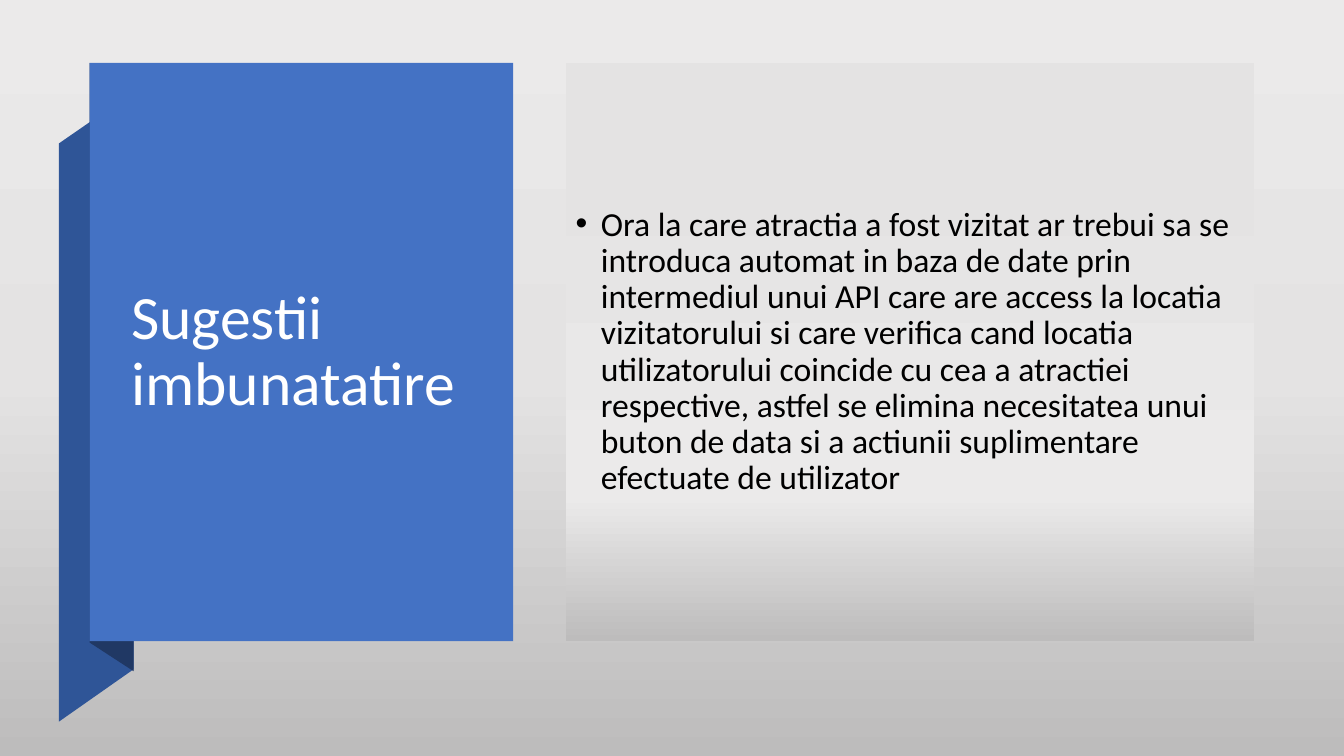
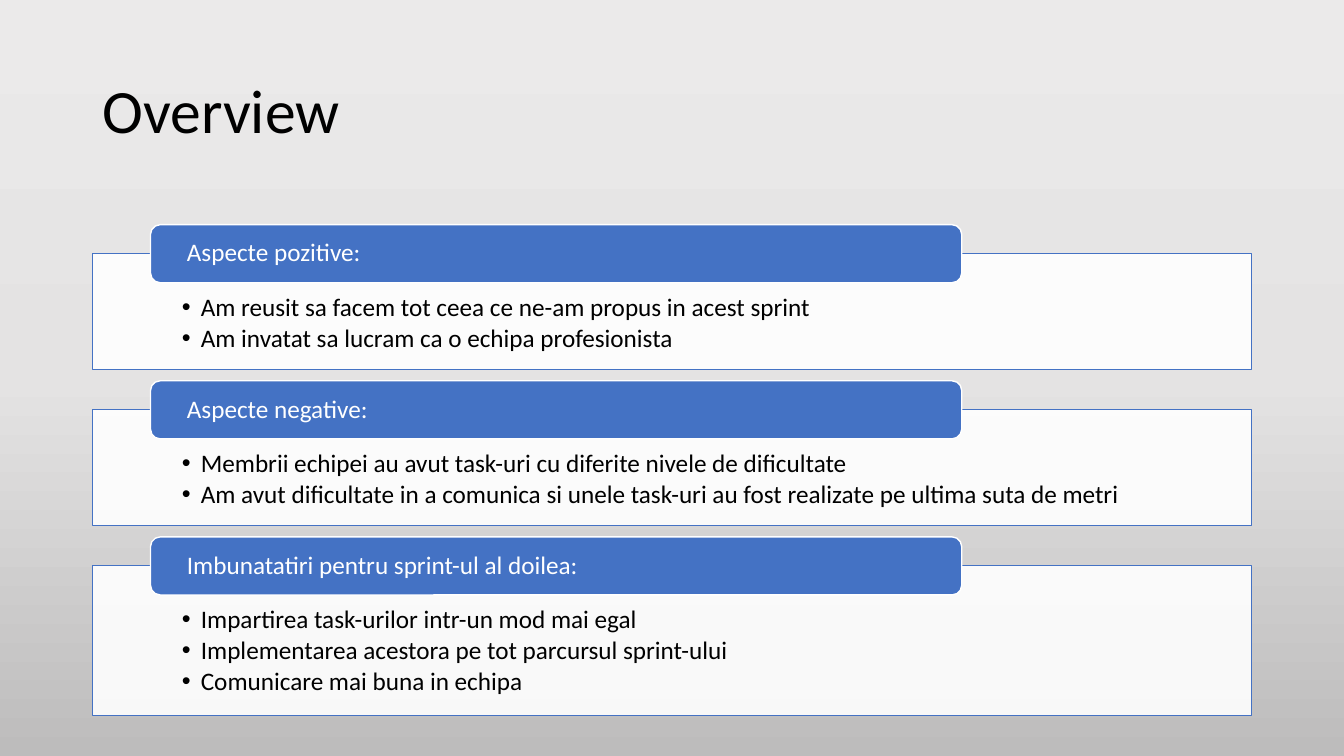
from lxml.etree import SubElement
from pptx import Presentation
from pptx.dml.color import RGBColor
from pptx.enum.shapes import MSO_SHAPE
from pptx.enum.text import MSO_ANCHOR, MSO_AUTO_SIZE, PP_ALIGN
from pptx.oxml.ns import qn
from pptx.util import Pt

WHITE = RGBColor(0xFF, 0xFF, 0xFF)
BLACK = RGBColor(0x00, 0x00, 0x00)
BLUE = RGBColor(0x44, 0x72, 0xC4)
MID_BLUE = RGBColor(0x2F, 0x55, 0x97)
DARK_BLUE = RGBColor(0x20, 0x38, 0x64)
LIGHT_GRAY = RGBColor(0xEB, 0xEA, 0xEA)
SOFT_GRAY = RGBColor(0xE4, 0xE3, 0xE3)
DEEP_GRAY = RGBColor(0xBD, 0xBC, 0xBC)
FONT = "Calibri"


def set_vertical_gradient(owner, fill, stops):
    fill.gradient()
    fill.gradient_angle = 270
    stop_list = owner.element.find(".//" + qn("a:gsLst"))
    for stop in list(stop_list):
        stop_list.remove(stop)
    for position, color in stops:
        stop = SubElement(stop_list, qn("a:gs"), pos=str(position * 1000))
        SubElement(stop, qn("a:srgbClr"), val=str(color))


def format_text(shape, size, color, anchor, space_before=0, space_after=0, indent=0):
    frame = shape.text_frame
    frame.word_wrap = True
    frame.auto_size = MSO_AUTO_SIZE.NONE
    frame.vertical_anchor = anchor
    for paragraph in frame.paragraphs:
        paragraph.alignment = PP_ALIGN.LEFT
        paragraph.line_spacing = 0.9
        paragraph.space_before = Pt(space_before)
        paragraph.space_after = Pt(space_after)
        if indent:
            properties = paragraph._p.get_or_add_pPr()
            properties.set("marL", str(Pt(indent)))
            properties.set("indent", str(-Pt(indent)))
            SubElement(properties, qn("a:buFont"), typeface="Arial")
            SubElement(properties, qn("a:buChar"), char="•")
        for run in paragraph.runs:
            run.font.name = FONT
            run.font.size = Pt(size)
            run.font.color.rgb = color


presentation = Presentation()
presentation.slide_width = Pt(960)
presentation.slide_height = Pt(540)
master = presentation.slide_master
set_vertical_gradient(master, master.background.fill,
                      [(0, LIGHT_GRAY), (50, SOFT_GRAY), (100, DEEP_GRAY)])

slides = []
for layout_index, title_text, title_color, box in [
    (1, "Sugestii imbunatatire", WHITE, (86.5, 70, 254, 364)),
    (5, "Overview", BLACK, (66, 29, 828, 104)),
]:
    slide = presentation.slides.add_slide(presentation.slide_layouts[layout_index])
    title = slide.shapes.title
    title.left, title.top, title.width, title.height = [Pt(value) for value in box]
    title.text_frame.text = title_text
    format_text(title, 44, title_color, MSO_ANCHOR.MIDDLE)
    slides.append(slide)
suggestions, overview = slides

ribbon_parts = []
for color, corners in [
    (MID_BLUE, [(42, 515.5), (95.5, 478), (95.5, 65.5), (42, 102.5)]),
    (DARK_BLUE, [(64, 459), (95.5, 479.5), (95.5, 65), (64, 45)]),
]:
    points = [(Pt(x), Pt(y)) for x, y in corners]
    builder = suggestions.shapes.build_freeform(*points[0])
    builder.add_line_segments(points[1:], close=True)
    ribbon_parts.append((builder.convert_to_shape(), color))
panel = suggestions.shapes.add_shape(MSO_SHAPE.RECTANGLE, Pt(64), Pt(45), Pt(302.5), Pt(413))
ribbon_parts.append((panel, BLUE))
for shape, color in ribbon_parts:
    shape.shadow.inherit = False
    shape.fill.solid()
    shape.fill.fore_color.rgb = color
    shape.line.fill.background()

body = suggestions.placeholders[1]
body.left, body.top, body.width, body.height = Pt(404), Pt(45), Pt(492), Pt(413)
body.text_frame.text = (
    "Ora la care atractia a fost vizitat ar trebui sa se introduca automat in baza de date "
    "prin intermediul unui API care are access la locatia vizitatorului si care verifica cand "
    "locatia utilizatorului coincide cu cea a atractiei respective, astfel se elimina "
    "necesitatea unui buton de data si a actiunii suplimentare efectuate de utilizator"
)
format_text(body, 24, BLACK, MSO_ANCHOR.MIDDLE, space_before=10, indent=18)
set_vertical_gradient(body, body.fill, [(15, SOFT_GRAY), (75, LIGHT_GRAY), (100, DEEP_GRAY)])
for placeholder in (suggestions.shapes.title, body):
    panel.element.getparent().append(placeholder.element)

sections = [
    ("Aspecte pozitive:", [
        "Am reusit sa facem tot ceea ce ne-am propus in acest sprint",
        "Am invatat sa lucram ca o echipa profesionista",
    ]),
    ("Aspecte negative:", [
        "Membrii echipei au avut task-uri cu diferite nivele de dificultate",
        "Am avut dificultate in a comunica si unele task-uri au fost realizate pe ultima suta de metri",
    ]),
    ("Imbunatatiri pentru sprint-ul al doilea:", [
        "Impartirea task-urilor intr-un mod mai egal",
        "Implementarea acestora pe tot parcursul sprint-ului",
        "Comunicare mai buna in echipa",
    ]),
]
section_top = 181
for heading, points in sections:
    section_height = 35 + 24 * len(points)
    box = overview.shapes.add_shape(MSO_SHAPE.RECTANGLE, Pt(66), Pt(section_top),
                                    Pt(828), Pt(section_height))
    header = overview.shapes.add_shape(MSO_SHAPE.ROUNDED_RECTANGLE, Pt(107.5),
                                       Pt(section_top - 20.5), Pt(579.5), Pt(41.5))
    for shape, text, fill_color, line_color, margins in [
        (box, "\n".join(points), WHITE, BLUE, (64, 29.5, 64, 10)),
        (header, heading, BLUE, WHITE, (24, 0, 24, 0)),
    ]:
        shape.shadow.inherit = False
        shape.fill.solid()
        shape.fill.fore_color.rgb = fill_color
        shape.line.color.rgb = line_color
        shape.line.width = Pt(1)
        frame = shape.text_frame
        frame.text = text
        (frame.margin_left, frame.margin_top,
         frame.margin_right, frame.margin_bottom) = [Pt(value) for value in margins]
    fill_color = box.element.spPr.find(qn("a:solidFill")).find(qn("a:srgbClr"))
    SubElement(fill_color, qn("a:alpha"), val="90000")
    format_text(box, 18, BLACK, MSO_ANCHOR.TOP, space_after=2.7, indent=13.5)
    format_text(header, 18, WHITE, MSO_ANCHOR.MIDDLE)
    section_top += section_height + 28.5

presentation.save("out.pptx")
